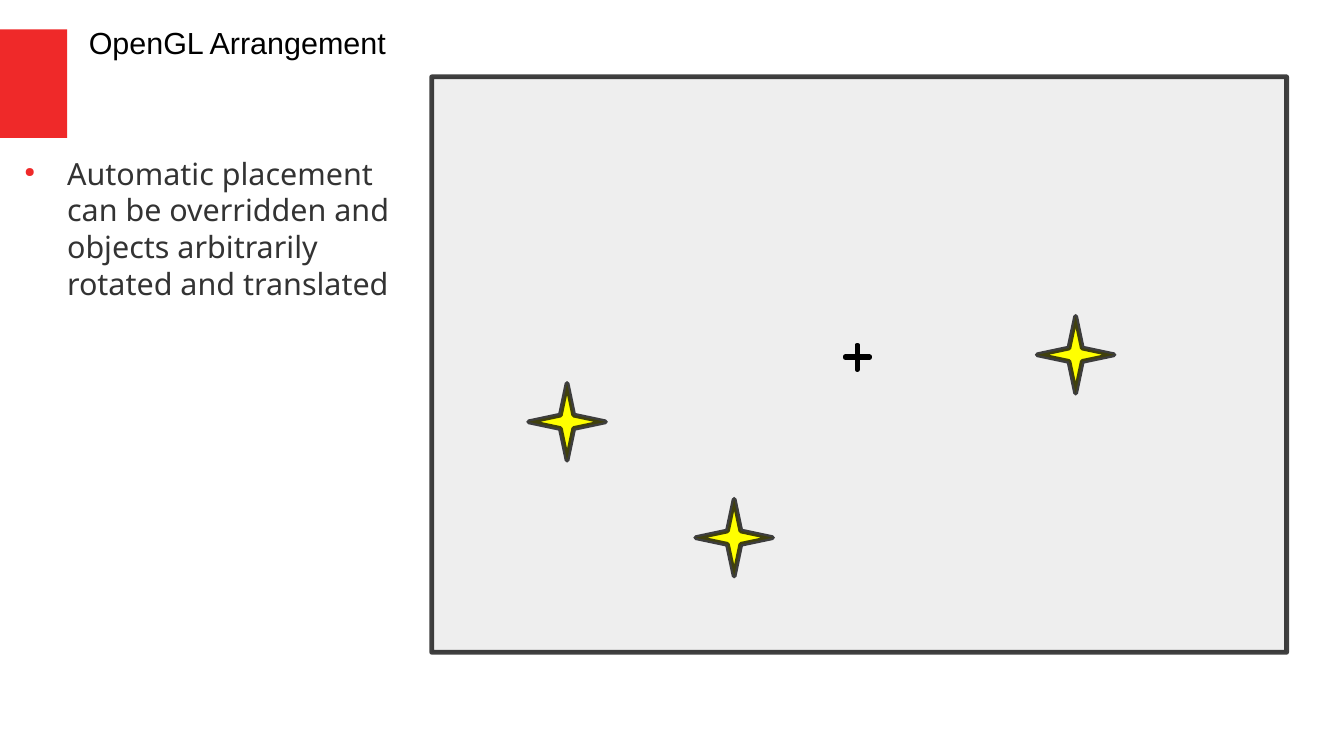
"""Build the OpenGL Arrangement slide."""
from lxml import etree
from pptx import Presentation
from pptx.dml.color import RGBColor
from pptx.enum.shapes import MSO_SHAPE
from pptx.oxml.ns import qn
from pptx.util import Inches, Pt

RECTANGLE, PLUS = MSO_SHAPE.RECTANGLE, MSO_SHAPE.CROSS
RED = RGBColor(0xEF, 0x29, 0x29)
GRAY = RGBColor(0xEE, 0xEE, 0xEE)
YELLOW = RGBColor(0xFF, 0xFF, 0x00)
BLACK = RGBColor(0x00, 0x00, 0x00)
INK = RGBColor(0x11, 0x11, 0x11)
TEXT = RGBColor(0x33, 0x33, 0x33)


def paint(shape, fill, line=None, opacity=100):
    """Fill a shape and give it a round-joined outline."""
    shape.shadow.inherit = False
    shape.fill.solid()
    shape.fill.fore_color.rgb = fill
    if line is None:
        shape.line.fill.background()
        return
    shape.line.color.rgb = line
    shape.line.width = Pt(2.83)
    outline = shape._element.spPr.find(qn("a:ln"))
    color = outline.find(".//" + qn("a:srgbClr"))
    etree.SubElement(color, qn("a:alpha"), val=str(opacity * 1000))
    etree.SubElement(outline, qn("a:round"))


def add_text(left, top, width, height, text, font, color, inset_x, inset_y):
    """Add a wrapped text box and return its paragraph."""
    box = page.shapes.add_textbox(Inches(left), Inches(top), Inches(width), Inches(height))
    frame = box.text_frame
    frame.word_wrap = True
    frame.margin_left = frame.margin_right = Inches(inset_x)
    frame.margin_top = frame.margin_bottom = Inches(inset_y)
    frame.text = text
    para = frame.paragraphs[0]
    span = para.runs[0]
    span.font.name = font
    span.font.size = Pt(18)
    span.font.color.rgb = color
    return para


deck = Presentation()
deck.slide_width, deck.slide_height = Inches(11.02), Inches(6.2)
page = deck.slides.add_slide(deck.slide_layouts[6])

marker = page.shapes.add_shape(RECTANGLE, 0, Inches(0.24), Inches(0.55), Inches(0.89))
paint(marker, RED)
canvas = page.shapes.add_shape(RECTANGLE, Inches(3.54), Inches(0.63), Inches(7.01), Inches(4.72))
paint(canvas, GRAY, BLACK, 75)
center = page.shapes.add_shape(PLUS, Inches(6.93), Inches(2.83), Inches(0.2), Inches(0.2))
center.adjustments[0] = 0.488
paint(center, BLACK, BLACK)

TIP, NOTCH = 0.315, 0.055
star_offsets = [
    (-TIP, 0), (-NOTCH, -NOTCH), (0, -TIP), (NOTCH, -NOTCH),
    (TIP, 0), (NOTCH, NOTCH), (0, TIP), (-NOTCH, NOTCH),
]
for star_x, star_y in [(8.82, 2.91), (6.02, 4.41), (4.65, 3.46)]:
    points = [(Inches(star_x + dx), Inches(star_y + dy)) for dx, dy in star_offsets]
    builder = page.shapes.build_freeform(*points[0])
    builder.add_line_segments(points[1:], close=True)
    paint(builder.convert_to_shape(), YELLOW, INK, 80)

add_text(0.63, 0.15, 2.76, 0.58, "OpenGL Arrangement", "Arial", BLACK, 0.1, 0.05)
para = add_text(
    0.08, 1.27, 3.31, 4.48,
    "Automatic placement can be overridden and objects arbitrarily rotated and translated",
    "Noto Sans", TEXT, 0, 0,
)
para.space_after = Pt(10.6)
properties = para._p.get_or_add_pPr()
properties.set("marL", str(Inches(0.47)))
properties.set("indent", str(Inches(-0.35)))
bullet_color = etree.SubElement(properties, qn("a:buClr"))
etree.SubElement(bullet_color, qn("a:srgbClr"), val=str(RED))
etree.SubElement(properties, qn("a:buSzPct"), val="45000")
etree.SubElement(properties, qn("a:buChar"), char="●")

deck.save("out.pptx")
